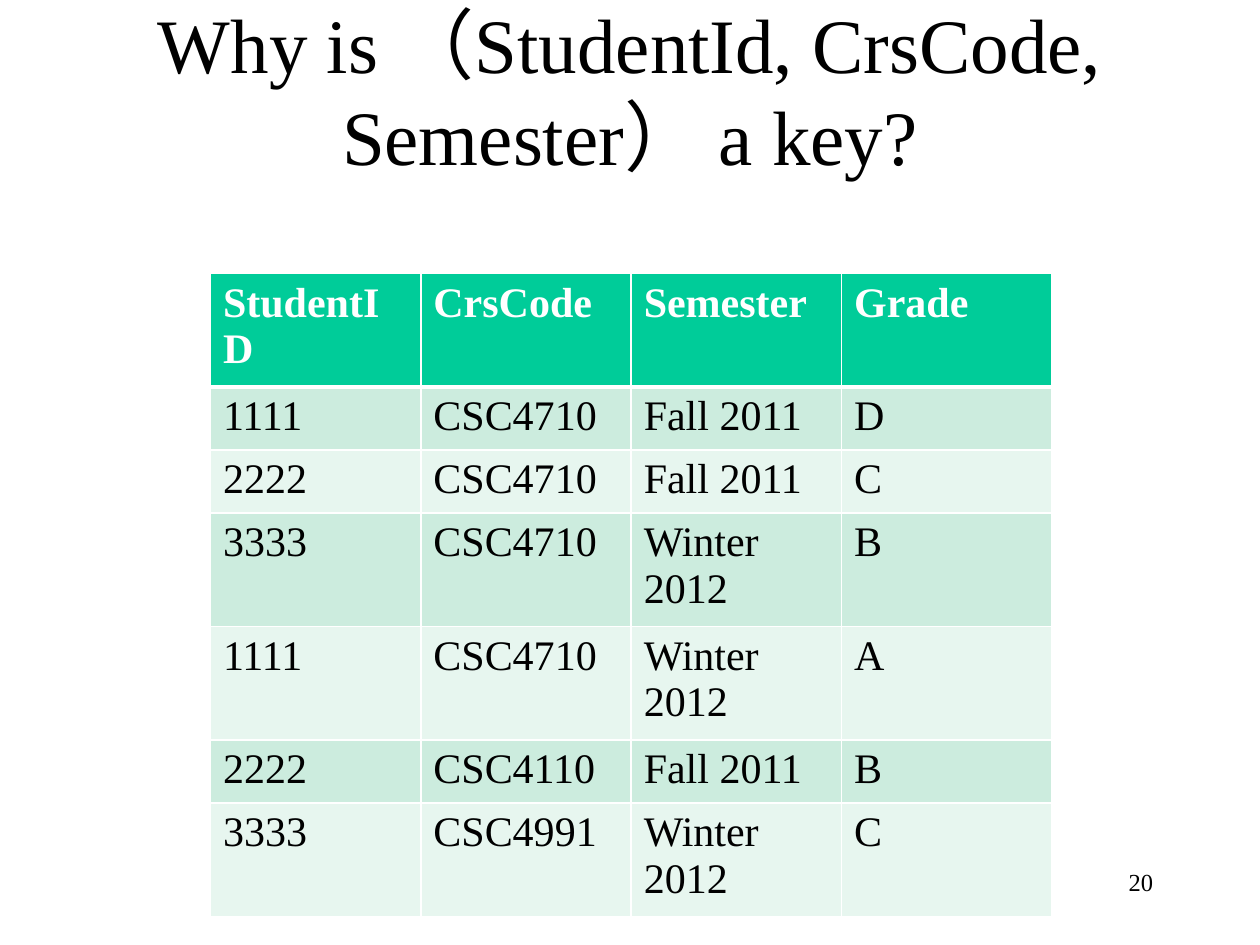
from lxml.etree import SubElement
from pptx import Presentation
from pptx.dml.color import RGBColor
from pptx.enum.text import MSO_ANCHOR, MSO_AUTO_SIZE, PP_ALIGN
from pptx.oxml.ns import qn
from pptx.util import Inches, Pt

WHITE = RGBColor(0xFF, 0xFF, 0xFF)
BLACK = RGBColor(0x00, 0x00, 0x00)
HEADER_GREEN = RGBColor(0x00, 0xCC, 0x99)
BANDS = (RGBColor(0xCC, 0xEC, 0xDE), RGBColor(0xE7, 0xF6, 0xEF))

ENROLLMENTS = [
    ("StudentID", "CrsCode", "Semester", "Grade"),
    ("1111", "CSC4710", "Fall 2011", "D"),
    ("2222", "CSC4710", "Fall 2011", "C"),
    ("3333", "CSC4710", "Winter 2012", "B"),
    ("1111", "CSC4710", "Winter 2012", "A"),
    ("2222", "CSC4110", "Fall 2011", "B"),
    ("3333", "CSC4991", "Winter 2012", "C"),
]


class PageBuilder:
    font_name = "Times New Roman"

    def __init__(self, deck):
        self.page = deck.slides.add_slide(deck.slide_layouts[5])

    def set_text(self, frame, text, size, align, color=BLACK, bold=False):
        frame.text = text
        frame.word_wrap = True
        para = frame.paragraphs[0]
        para.alignment = align
        font = para.runs[0].font
        font.name, font.size, font.bold = self.font_name, Pt(size), bold
        font.color.rgb = color

    def title(self, text, left, top, width, height):
        box = self.page.shapes.title
        box.left, box.top = Inches(left), Inches(top)
        box.width, box.height = Inches(width), Inches(height)
        frame = box.text_frame
        self.set_text(frame, text, 44, PP_ALIGN.CENTER)
        frame.auto_size = MSO_AUTO_SIZE.NONE
        frame.vertical_anchor = MSO_ANCHOR.MIDDLE

    def page_number(self, text, left, top, width, height):
        box = self.page.shapes.add_textbox(
            Inches(left), Inches(top), Inches(width), Inches(height))
        self.set_text(box.text_frame, text, 14, PP_ALIGN.RIGHT)

    def borders(self, cell, top, bottom):
        """Draw white cell edges; must run before the fill is set."""
        props = cell._tc.get_or_add_tcPr()
        for tag, points in (("a:lnL", 1), ("a:lnR", 1),
                            ("a:lnT", top), ("a:lnB", bottom)):
            line = SubElement(props, qn(tag), w=str(Pt(points)))
            fill = SubElement(line, qn("a:solidFill"))
            SubElement(fill, qn("a:srgbClr"), val=str(WHITE))

    def table(self, rows, left, top, column_width, row_height):
        grid = self.page.shapes.add_table(
            len(rows), len(rows[0]), Inches(left), Inches(top),
            Inches(column_width * len(rows[0])),
            Inches(row_height * len(rows))).table
        for row_index, values in enumerate(rows):
            is_header = row_index == 0
            fill = HEADER_GREEN if is_header else BANDS[(row_index - 1) % 2]
            for column_index, value in enumerate(values):
                cell = grid.cell(row_index, column_index)
                self.borders(cell, top=3 if row_index == 1 else 1,
                             bottom=3 if is_header else 1)
                cell.fill.solid()
                cell.fill.fore_color.rgb = fill
                self.set_text(cell.text_frame, value, 24, PP_ALIGN.LEFT,
                              WHITE if is_header else BLACK, is_header)


def main():
    deck = Presentation()
    deck.slide_width, deck.slide_height = Inches(10), Inches(7.5)
    builder = PageBuilder(deck)
    builder.page_number("20", 7.17, 6.83, 2.08, 0.5)
    builder.title("Why is （StudentId, CrsCode, Semester） a key?",
                  0.75, 0.33, 8.5, 0.75)
    builder.table(ENROLLMENTS, 1.67, 2.17, 1.67, 0.41)
    deck.save("out.pptx")


if __name__ == "__main__":
    main()
